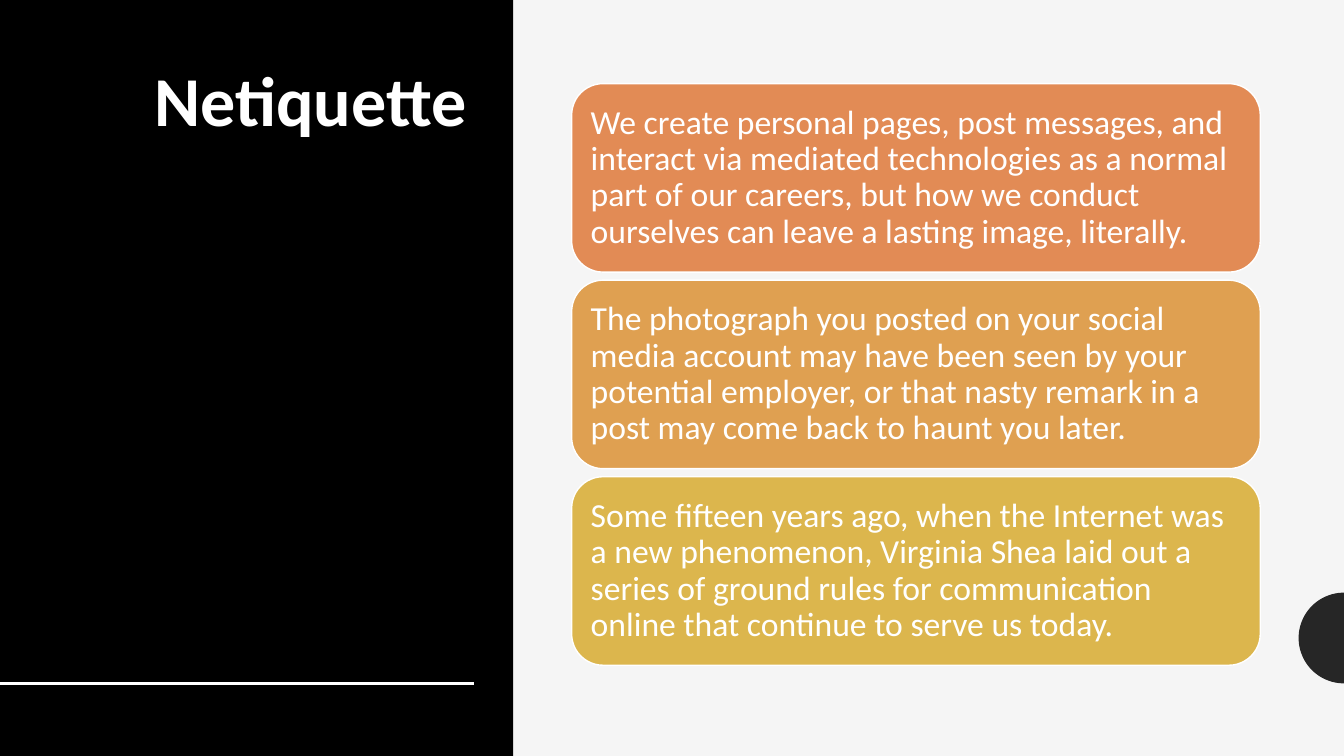
import math

from lxml import etree
from pptx import Presentation
from pptx import util as u
from pptx.dml.color import RGBColor
from pptx.enum import shapes, text
from pptx.oxml.ns import qn

WIDTH, HEIGHT = 13.33, 7.5
CARDS = [
    ("E28B55", "We create personal pages, post messages, and interact via mediated "
               "technologies as a normal part of our careers, but how we conduct "
               "ourselves can leave a lasting image, literally."),
    ("DFA051", "The photograph you posted on your social media account may have been "
               "seen by your potential employer, or that nasty remark in a post may "
               "come back to haunt you later."),
    ("DCB64D", "Some fifteen years ago, when the Internet was a new phenomenon, "
               "Virginia Shea laid out a series of ground rules for communication "
               "online that continue to serve us today."),
]


def color(value):
    return RGBColor.from_string(value)


class Builder:
    font = "Calibri"
    light = "FFFFFF"

    def __init__(self, page):
        self.page = page

    def paint(self, shape, fill, line=None):
        shape.shadow.inherit = False
        shape.fill.solid()
        shape.fill.fore_color.rgb = color(fill)
        if line:
            shape.line.color.rgb = color(line)
            shape.line.width = u.Pt(1)
        else:
            shape.line.fill.background()

    def set_text(self, frame, wording, size, align, anchor, bold=False):
        frame.word_wrap = True
        frame.auto_size = text.MSO_AUTO_SIZE.NONE
        frame.vertical_anchor = anchor
        frame.text = wording
        para = frame.paragraphs[0]
        para.alignment = align
        para.line_spacing = 0.9
        para.font.name = self.font
        para.font.size = u.Pt(size)
        para.font.bold = bold
        para.font.color.rgb = color(self.light)
        return para

    def shape(self, kind, left, top, width, height, fill, line=None):
        shape = self.page.shapes.add_shape(
            kind, u.Inches(left), u.Inches(top), u.Inches(width), u.Inches(height))
        self.paint(shape, fill, line)
        return shape

    def half_circle(self, x, y, radius, fill, steps=48):
        angles = [math.pi / 2 + math.pi * i / steps for i in range(steps + 1)]
        points = [(u.Inches(x + radius * math.cos(a)), u.Inches(y + radius * math.sin(a)))
                  for a in angles]
        outline = self.page.shapes.build_freeform(*points[0])
        outline.add_line_segments(points[1:], close=True)
        self.paint(outline.convert_to_shape(), fill)

    def title(self, wording, left, top, width, height):
        title = self.page.shapes.title
        title.left, title.top = u.Inches(left), u.Inches(top)
        title.width, title.height = u.Inches(width), u.Inches(height)
        self.set_text(title.text_frame, wording, 50, text.PP_ALIGN.RIGHT,
                      text.MSO_ANCHOR.TOP, bold=True)
        # Bring the title in front of the panel
        title.element.getparent().append(title.element)

    def rule(self, left, right, y):
        rule = self.page.shapes.add_connector(
            shapes.MSO_CONNECTOR.STRAIGHT,
            u.Inches(left), u.Inches(y), u.Inches(right), u.Inches(y))
        rule.line.color.rgb = color(self.light)
        rule.line.width = u.Pt(2)
        etree.SubElement(rule.element.spPr, qn("a:effectLst"))

    def card(self, wording, left, top, width, height, fill):
        card = self.shape(shapes.MSO_SHAPE.ROUNDED_RECTANGLE,
                          left, top, width, height, fill, self.light)
        frame = card.text_frame
        frame.margin_left = frame.margin_right = u.Inches(0.1)
        frame.margin_top = frame.margin_bottom = u.Inches(0.1)
        para = self.set_text(frame, wording, 24, text.PP_ALIGN.LEFT,
                             text.MSO_ANCHOR.MIDDLE)
        para.space_after = u.Pt(8.4)


def main():
    deck = Presentation()
    deck.slide_width, deck.slide_height = u.Inches(WIDTH), u.Inches(HEIGHT)
    page = deck.slides.add_slide(deck.slide_layouts[5])
    page.background.fill.solid()
    page.background.fill.fore_color.rgb = color("F5F5F5")
    builder = Builder(page)

    # Half circle at the right edge
    builder.half_circle(WIDTH, 6.33, 0.45, "262626")

    # Black panel with title and rule
    builder.shape(shapes.MSO_SHAPE.RECTANGLE, 0, 0, 5.09, HEIGHT, "000000")
    builder.title("Netiquette", 0.83, 0.61, 3.9, 5.42)
    builder.rule(0, 4.7, 6.78)

    # Stack of cards
    for i, (fill, wording) in enumerate(CARDS):
        builder.card(wording, 5.67, 0.83 + 1.95 * i, 6.83, 1.87, fill)

    deck.save("out.pptx")


if __name__ == "__main__":
    main()
